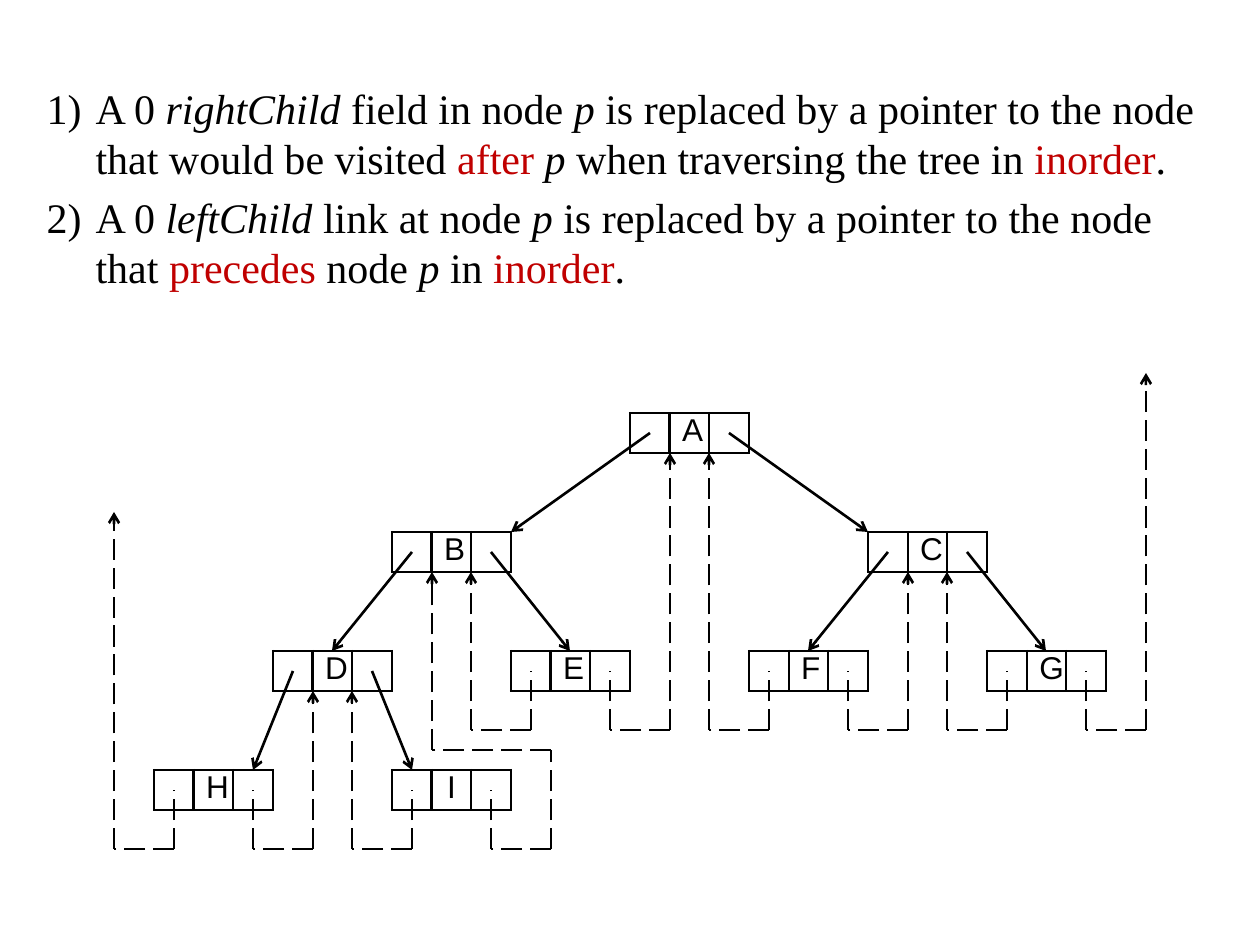
import dataclasses
import typing

import pptx
import pptx.dml.color
import pptx.enum.dml
import pptx.enum.shapes
import pptx.enum.text
import pptx.oxml
import pptx.oxml.ns
import pptx.util

PIXEL = 914400 / 126
PITCH = 119 / 3  # side of one grid square in pixels
ORIGIN_X, ORIGIN_Y = 154, 413


@dataclasses.dataclass(frozen=True)
class Theme:
    """Colours, fonts and sizes of the slide."""
    ink: str = "000000"
    accent: str = "C00000"
    rule_font: str = "Times New Roman"
    node_font: str = "Arial"
    rule_size: int = 24
    node_size: int = 18
    line_width: float = 1.5


@dataclasses.dataclass(frozen=True)
class Node:
    """A tree node whose left and top are counted in grid squares."""
    label: str
    col: float
    row: float


class Point(typing.NamedTuple):
    """A place on the grid, in squares."""
    col: float
    row: float


class Link(typing.NamedTuple):
    """A child pointer: side is -1 for left, 1 for right."""
    parent: str
    side: int
    target: Point


class Thread(typing.NamedTuple):
    """A thread pointer that ends at a row, maybe after a detour."""
    node: str
    side: int
    end_row: float
    detour: typing.Optional[Point] = None


THEME = Theme()
NODES = {node.label: node for node in (
    Node("H", 0, 9), Node("G", 21, 6), Node("F", 15, 6),
    Node("E", 9, 6), Node("D", 3, 6), Node("I", 6, 9),
    Node("B", 6, 3), Node("C", 18, 3), Node("A", 12, 0))}
LINKS = (
    Link("A", 1, Point(18, 3)), Link("A", -1, Point(9, 3)),
    Link("B", 1, Point(10.5, 6)), Link("B", -1, Point(4.5, 6)),
    Link("C", 1, Point(22.5, 6)), Link("C", -1, Point(16.5, 6)),
    Link("D", 1, Point(6.5, 9)), Link("D", -1, Point(2.5, 9)))
THREADS = (
    Thread("H", -1, 2.5), Thread("H", 1, 7),
    Thread("I", -1, 7), Thread("I", 1, 4, detour=Point(7, 8.5)),
    Thread("E", -1, 4), Thread("E", 1, 1),
    Thread("F", -1, 1), Thread("F", 1, 4),
    Thread("G", -1, 4), Thread("G", 1, -1))
# Within a rule, *stars* mark italics and _underscores_ mark the accent colour.
RULES = (
    "A 0 *rightChild* field in node *p* is replaced by a pointer to the node "
    "that would be visited _after _*p* when traversing the tree in _inorder_.",
    "A 0 *leftChild* link at node *p* is replaced by a pointer to the node "
    "that _precedes_ node *p* in _inorder_.")


def px(pixels: float) -> pptx.util.Emu:
    """Turn picture pixels into EMU."""
    return pptx.util.Emu(round(pixels * PIXEL))


def place(point: Point) -> tuple:
    """Turn a grid point into whole-pixel slide coordinates."""
    return (px(round(ORIGIN_X + point.col * PITCH)),
            px(round(ORIGIN_Y + point.row * PITCH)))


def colour(code: str) -> pptx.dml.color.RGBColor:
    """Read a hex colour."""
    return pptx.dml.color.RGBColor.from_string(code)


def xml(markup: str):
    """Parse one DrawingML element, given without its namespace."""
    tag, rest = markup[1:].split(" ", 1)
    return pptx.oxml.parse_xml(f'<{tag} {pptx.oxml.ns.nsdecls("a")} {rest}')


def write_rules(body) -> None:
    """Fill the body placeholder with the numbered rules."""
    body.left, body.top, body.width, body.height = map(px, (34, 76, 1191, 238))
    frame = body.text_frame
    for index, rule in enumerate(RULES):
        paragraph = frame.paragraphs[0] if index == 0 else frame.add_paragraph()
        properties = paragraph._p.get_or_add_pPr()
        properties.set("marL", str(px(49)))
        properties.set("indent", str(-px(49)))
        properties.append(xml(f'<a:buFont typeface="{THEME.rule_font}"/>'))
        properties.append(xml('<a:buAutoNum type="arabicParenR"/>'))
        paragraph.font.name = THEME.rule_font
        paragraph.font.size = pptx.util.Pt(THEME.rule_size)
        paragraph.font.color.rgb = colour(THEME.ink)
        for star, starred in enumerate(rule.split("*")):
            for mark, words in enumerate(starred.split("_")):
                if not words:
                    continue
                run = paragraph.add_run()
                run.text = words
                if star % 2:
                    run.font.italic = True
                # an accent span never holds a star, so each part starts plain
                if mark % 2:
                    run.font.color.rgb = colour(THEME.accent)


def draw_node(shapes, node: Node) -> None:
    """Draw a node as a table of left link, label and right link."""
    left, top = place(Point(node.col, node.row))
    table = shapes.add_table(1, 3, left, top, px(119), px(40)).table
    table.first_row = table.horz_banding = False
    for column in table.columns:
        column.width = px(PITCH)
    width = pptx.util.Pt(THEME.line_width)
    for index, cell in enumerate(table.rows[0].cells):
        cell.margin_top = cell.margin_bottom = 0
        cell.fill.background()
        for order, edge in enumerate(("lnL", "lnR", "lnT", "lnB")):
            cell._tc.tcPr.insert(order, xml(
                f'<a:{edge} w="{width}"><a:solidFill><a:srgbClr val="{THEME.ink}"/>'
                f'</a:solidFill></a:{edge}>'))
        paragraph = cell.text_frame.paragraphs[0]
        paragraph.alignment = pptx.enum.text.PP_ALIGN.CENTER
        paragraph.font.name = THEME.node_font
        paragraph.font.size = pptx.util.Pt(THEME.node_size)
        paragraph.font.color.rgb = colour(THEME.ink)
        if index == 1:
            paragraph.add_run().text = node.label


def draw_line(shapes, start: Point, end: Point, dashed: bool, arrow: bool) -> None:
    """Draw a straight line, dashed or with an arrowhead if asked."""
    line = shapes.add_connector(pptx.enum.shapes.MSO_CONNECTOR.STRAIGHT,
                                *place(start), *place(end))
    line.line.color.rgb = colour(THEME.ink)
    line.line.width = pptx.util.Pt(THEME.line_width)
    if dashed:
        line.line.dash_style = pptx.enum.dml.MSO_LINE.LONG_DASH
    if arrow:
        line.line._get_or_add_ln().append(xml('<a:tailEnd type="arrow"/>'))
    line._element.spPr.append(xml('<a:effectLst />'))


def link_cell(label: str, side: int) -> Point:
    """Find the centre of a node's left or right link cell."""
    node = NODES[label]
    return Point(node.col + 1.5 + side, node.row + 0.5)


def draw_thread(shapes, thread: Thread) -> None:
    """Draw a thread: down from the link cell, sideways, then up."""
    cell = link_cell(thread.node, thread.side)
    below = Point(cell.col, cell.row + 1.5)
    corner = Point(cell.col + 1.5 * thread.side, below.row)
    draw_line(shapes, below, cell, dashed=True, arrow=False)
    draw_line(shapes, max(below, corner), min(below, corner), dashed=True, arrow=False)
    if thread.detour:
        turn = Point(corner.col, thread.detour.row)
        draw_line(shapes, corner, turn, dashed=True, arrow=False)
        draw_line(shapes, turn, thread.detour, dashed=True, arrow=False)
        corner = thread.detour
    draw_line(shapes, corner, Point(corner.col, thread.end_row), dashed=True, arrow=True)


def main() -> None:
    """Build and save the slide."""
    deck = pptx.Presentation()
    deck.slide_width, deck.slide_height = px(1260), px(945)
    slide = deck.slides.add_slide(deck.slide_layouts[1])
    title = slide.shapes.title._element
    title.getparent().remove(title)
    write_rules(slide.placeholders[1])
    for node in NODES.values():
        draw_node(slide.shapes, node)
    for link in LINKS:
        draw_line(slide.shapes, link_cell(link.parent, link.side), link.target,
                  dashed=False, arrow=True)
    for thread in THREADS:
        draw_thread(slide.shapes, thread)
    deck.save("out.pptx")


main()
